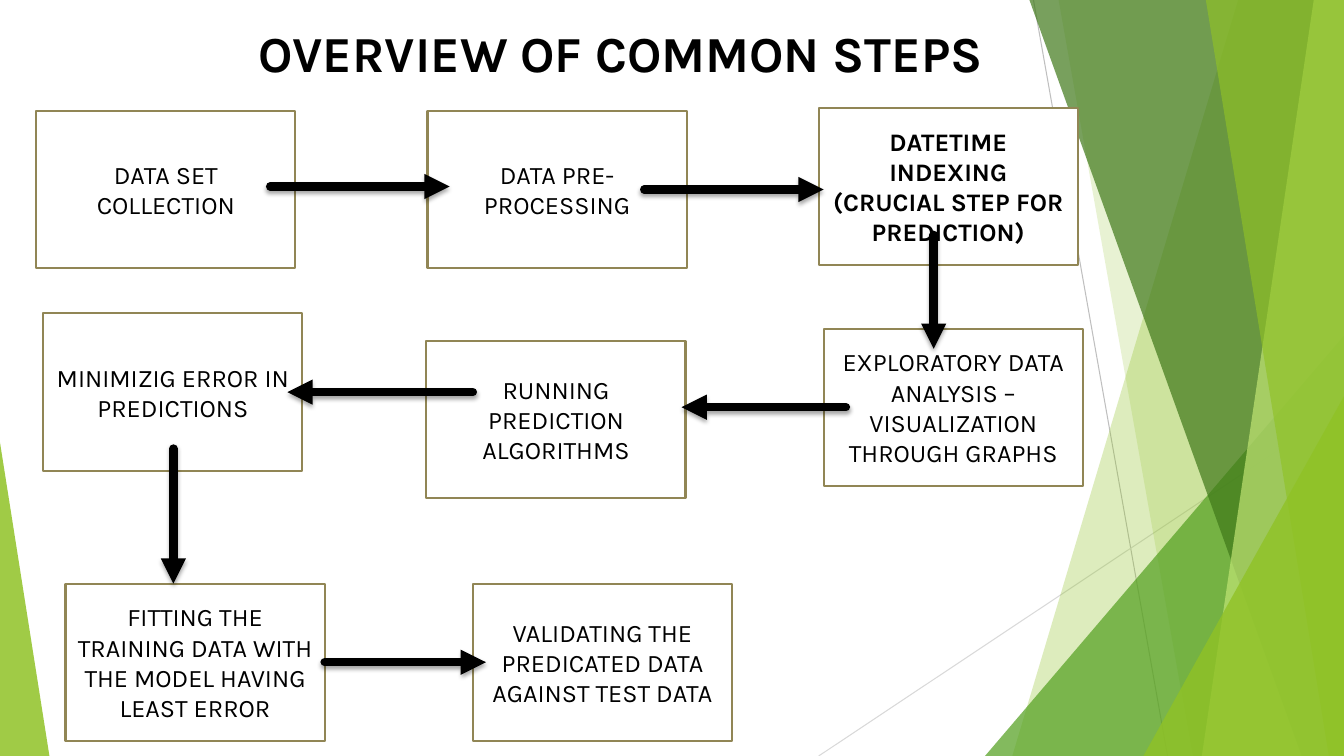
from lxml import etree
from pptx import Presentation
from pptx import util as u
from pptx.dml.color import RGBColor
from pptx.enum import shapes, text
from pptx.oxml import ns


def color(hex_code):
    return RGBColor.from_string(hex_code)


def add_xml(parent, tag, **attrs):
    return etree.SubElement(parent, ns.qn(tag), {k: str(v) for k, v in attrs.items()})


class Deck:
    FONT, INK, BORDER = "Karla", "000000", "918655"
    BOX_W, BOX_H = 2.57, 1.56

    def __init__(self, width, height):
        self.prs = Presentation()
        self.prs.slide_width, self.prs.slide_height = u.Inches(width), u.Inches(height)
        self.s = self.prs.slides.add_slide(self.prs.slide_layouts[6])

    def add_text(self, tf, lines, size, bold, align):
        tf.word_wrap = True
        for i, line in enumerate(lines):
            p = tf.add_paragraph() if i else tf.paragraphs[0]
            p.alignment = align
            r = p.add_run()
            r.text = line
            r.font.name, r.font.size, r.font.bold = self.FONT, u.Pt(size), bold
            r.font.color.rgb = color(self.INK)

    def title(self, x, y, w, h, line):
        tf = self.s.shapes.add_textbox(*map(u.Inches, (x, y, w, h))).text_frame
        self.add_text(tf, [line], 36, True, text.PP_ALIGN.LEFT)

    def box(self, x, y, lines, bold=False):
        sp = self.s.shapes.add_shape(
            shapes.MSO_SHAPE.RECTANGLE, *map(u.Inches, (x, y, self.BOX_W, self.BOX_H)))
        sp.shadow.inherit = False
        sp.fill.solid()
        sp.fill.fore_color.rgb = color("FFFFFF")
        sp.line.color.rgb = color(self.BORDER)
        sp.line.width = u.Pt(1.5)
        sp.text_frame.vertical_anchor = text.MSO_ANCHOR.MIDDLE
        self.add_text(sp.text_frame, lines, 18, bold, text.PP_ALIGN.CENTER)

    def tint(self, sp, fill, opacity):
        sp.shadow.inherit = False
        sp.fill.solid()
        sp.fill.fore_color.rgb = color(fill)
        sp.line.fill.background()
        clr = sp._element.spPr.find(ns.qn("a:solidFill")).find(ns.qn("a:srgbClr"))
        add_xml(clr, "a:alpha", val=opacity * 1000)

    def band(self, points, fill, opacity):
        points = [(u.Inches(x), u.Inches(y)) for x, y in points]
        builder = self.s.shapes.build_freeform(*points[0])
        builder.add_line_segments(points[1:], close=True)
        self.tint(builder.convert_to_shape(), fill, opacity)

    def triangle(self, x, y, w, h, apex, fill, opacity):
        sp = self.s.shapes.add_shape(
            shapes.MSO_SHAPE.ISOSCELES_TRIANGLE, *map(u.Inches, (x, y, w, h)))
        sp.adjustments[0] = apex
        self.tint(sp, fill, opacity)

    def line(self, x1, y1, x2, y2, stroke, width):
        c = self.s.shapes.add_connector(
            shapes.MSO_CONNECTOR.STRAIGHT, *map(u.Inches, (x1, y1, x2, y2)))
        c.line.color.rgb = color(stroke)
        c.line.width = u.Pt(width)
        return c, add_xml(c._element.spPr, "a:effectLst")

    def arrow(self, x1, y1, x2, y2):
        c, effects = self.line(x1, y1, x2, y2, self.INK, 6)
        ln = c._element.spPr.find(ns.qn("a:ln"))
        ln.set("cap", "rnd")
        add_xml(ln, "a:tailEnd", type="triangle")
        shadow = add_xml(effects, "a:outerShdw", blurRad=u.Pt(3), dist=u.Pt(2),
                         dir=5400000, rotWithShape=0)
        add_xml(add_xml(shadow, "a:srgbClr", val=self.INK), "a:alpha", val=35000)


def main():
    right, bottom = 13.33, 7.5
    deck = Deck(right, bottom)

    # Backdrop: thin lines, then translucent green bands reaching the right edge
    deck.line(10.25, 0, 11.58, bottom, "BFBFBF", 0.75)
    deck.line(right, 4.03, 8.12, bottom, "D9D9D9", 0.75)

    def edge_band(top_x, bottom_x, fill, opacity):
        deck.band([(top_x, 0), (right, 0), (right, bottom), (bottom_x, bottom)],
                  fill, opacity)

    def corner(x, y, fill, opacity):
        deck.triangle(x, y, right - x, bottom - y, 1, fill, opacity)

    edge_band(12.28, 10.04, "90C226", 30)
    edge_band(10.5, 11.83, "90C226", 20)
    corner(9.77, 3.33, "54A021", 72)
    edge_band(10.21, 12.91, "3F7819", 70)
    edge_band(13.03, 11.92, "C0E474", 70)
    edge_band(11.96, 13.18, "90C226", 65)
    corner(11.34, 3.93, "90C226", 80)
    deck.triangle(0, 4.39, 0.49, 3.11, 0, "90C226", 85)

    # Title
    deck.title(2.47, 0.17, 9.26, 1.44, "OVERVIEW OF COMMON STEPS")

    # Steps in reading order of the flow
    deck.box(0.36, 1.1, ["DATA SET COLLECTION"])
    deck.box(4.24, 1.1, ["DATA PRE-PROCESSING"])
    deck.box(8.12, 1.07, ["DATETIME INDEXING", "(CRUCIAL STEP FOR PREDICTION)"], bold=True)
    deck.box(8.17, 3.26, ["EXPLORATORY DATA ANALYSIS – VISUALIZATION THROUGH GRAPHS"])
    deck.box(4.23, 3.38, ["RUNNING PREDICTION ALGORITHMS"])
    deck.box(0.43, 3.11, ["MINIMIZIG ERROR IN PREDICTIONS"])
    deck.box(0.65, 5.79, ["FITTING THE TRAINING DATA WITH THE MODEL HAVING LEAST ERROR"])
    deck.box(4.69, 5.79, ["VALIDATING THE PREDICATED DATA AGAINST TEST DATA"])

    # Arrows from each step to the next
    for ends in [
        (2.68, 1.85, 4.46, 1.85),
        (6.39, 1.88, 8.17, 1.88),
        (9.26, 2.33, 9.26, 3.46),
        (8.39, 4.04, 6.76, 4.04),
        (4.69, 3.89, 2.85, 3.89),
        (1.72, 4.45, 1.72, 5.79),
        (3.22, 6.57, 4.82, 6.57),
    ]:
        deck.arrow(*ends)

    deck.prs.save("out.pptx")


if __name__ == "__main__":
    main()
